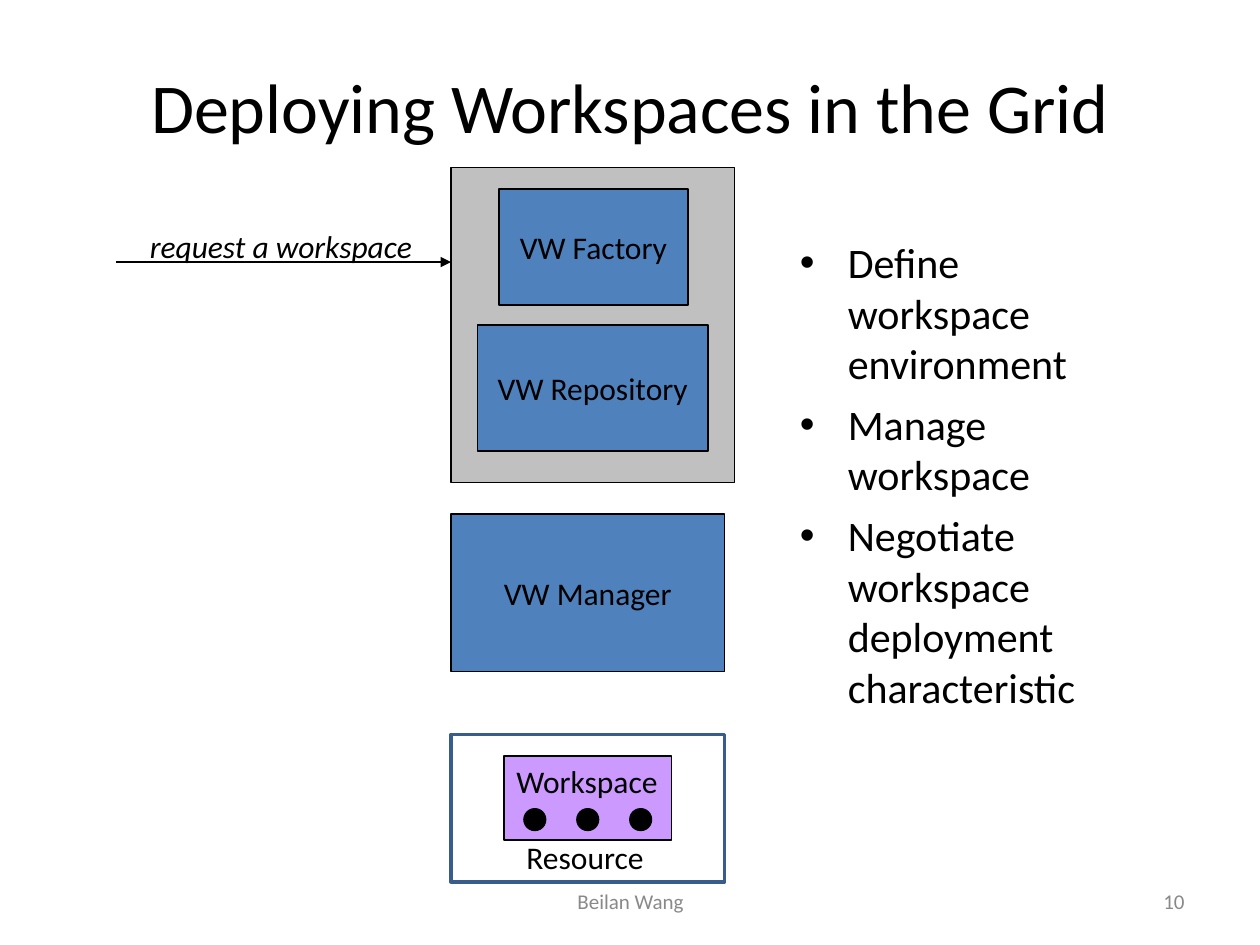
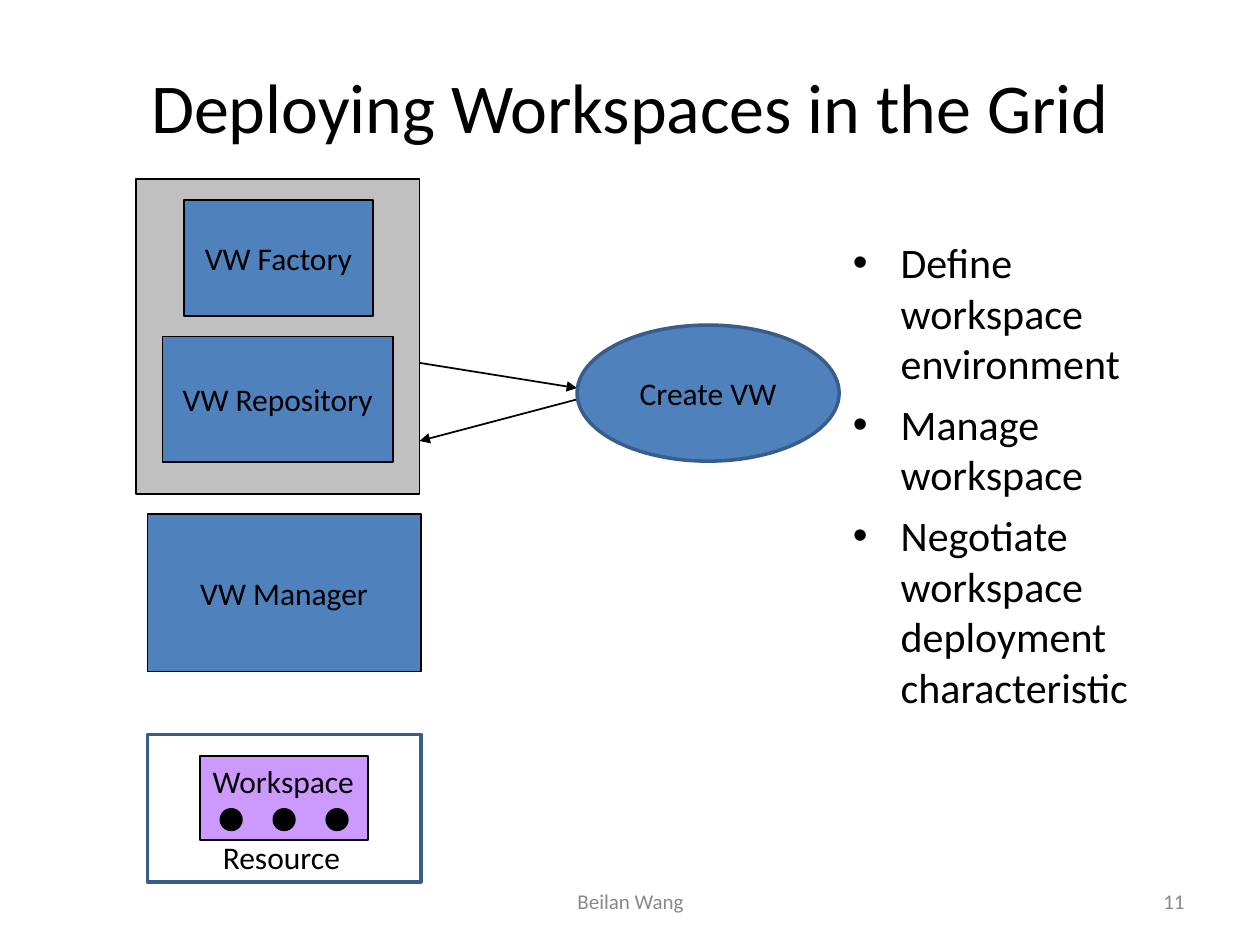
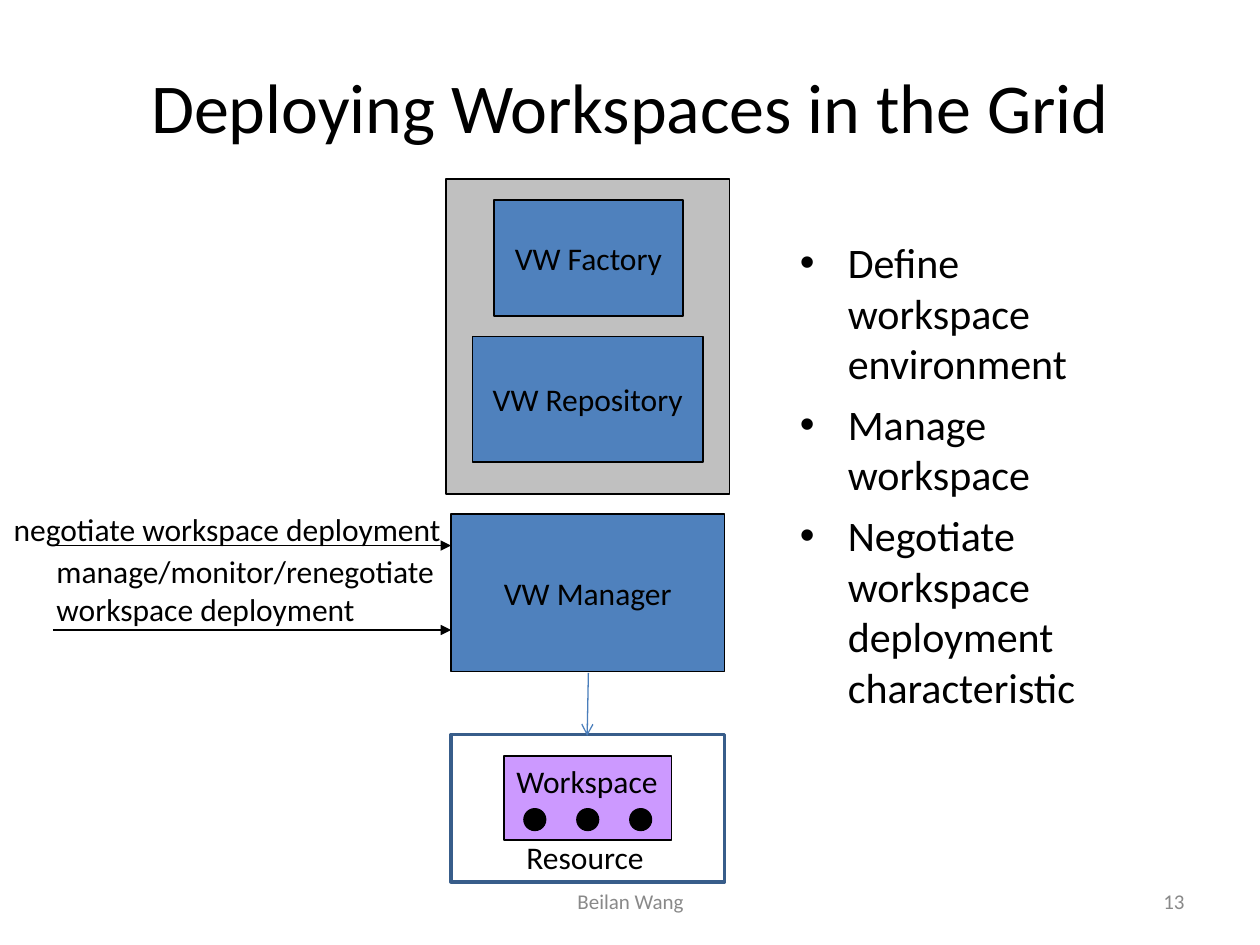
import pptx
import pptx.util
import pptx.dml.color
import pptx.enum.shapes
import pptx.enum.text
import pptx.oxml.ns
from lxml import etree

Inches = pptx.util.Inches
Pt = pptx.util.Pt
RGBColor = pptx.dml.color.RGBColor
SHAPE = pptx.enum.shapes.MSO_SHAPE
ALIGN = pptx.enum.text.PP_ALIGN
ANCHOR = pptx.enum.text.MSO_ANCHOR
qn = pptx.oxml.ns.qn

BLACK = RGBColor(0x00, 0x00, 0x00)
GREY = RGBColor(0x89, 0x89, 0x89)
SERVICE_GREY = RGBColor(0xC0, 0xC0, 0xC0)
BLUE = RGBColor(0x4F, 0x81, 0xBD)
OUTLINE_BLUE = RGBColor(0x38, 0x5D, 0x8A)
ARROW_BLUE = RGBColor(0x4A, 0x7E, 0xBB)
PURPLE = RGBColor(0xCC, 0x99, 0xFF)

FONT = "Calibri"
TITLE = "Deploying Workspaces in the Grid"
AUTHOR = "Beilan Wang"
STEPS = [
    "Define workspace environment",
    "Manage workspace",
    "Negotiate workspace deployment characteristic",
]


class Deck:
    """Holds the shared style and the slide being drawn."""

    def __init__(self):
        self.presentation = pptx.Presentation()
        self.presentation.slide_width = Inches(10)
        self.presentation.slide_height = Inches(7.5)
        self.slide = None

    def new_slide(self, number, steps_left):
        blank = self.presentation.slide_layouts[6]
        self.slide = self.presentation.slides.add_slide(blank)
        self.text(TITLE, 0.75, 0.42, 8.5, 0.83, size=40, align=ALIGN.CENTER,
                  anchor=ANCHOR.MIDDLE, wrap=True)
        self.bullets(STEPS, steps_left, 1.83, 9.17 - steps_left, 4.75)
        for words, left, width, align in ((AUTHOR, 3.42, 3.17, ALIGN.CENTER),
                                          (str(number), 7.17, 2.33, ALIGN.RIGHT)):
            self.text(words, left, 6.95, width, 0.4, size=12, color=GREY,
                      align=align, anchor=ANCHOR.MIDDLE, wrap=True)

    def fill_text(self, frame, words, size=18, color=BLACK, align=ALIGN.LEFT,
                  anchor=ANCHOR.TOP, wrap=False, italic=False):
        frame.text = words
        frame.word_wrap = wrap
        frame.vertical_anchor = anchor
        for paragraph in frame.paragraphs:
            paragraph.alignment = align
            for run in paragraph.runs:
                run.font.name = FONT
                run.font.size = Pt(size)
                run.font.color.rgb = color
                run.font.italic = italic

    def text(self, words, left, top, width, height=0.4, **style):
        area = self.slide.shapes.add_textbox(
            Inches(left), Inches(top), Inches(width), Inches(height))
        self.fill_text(area.text_frame, words, **style)
        return area.text_frame

    def bullets(self, items, left, top, width, height):
        frame = self.text("\n".join(items), left, top, width, height,
                          size=24, wrap=True)
        for index, paragraph in enumerate(frame.paragraphs):
            if index:
                paragraph.space_before = Pt(6)
            properties = paragraph._p.get_or_add_pPr()
            properties.set("marL", str(Inches(0.38)))
            properties.set("indent", str(Inches(-0.38)))
            etree.SubElement(properties, qn("a:buFont"), typeface="Arial")
            etree.SubElement(properties, qn("a:buChar"), char="•")

    def box(self, left, top, width, height, words="", fill=BLUE, line=BLACK,
            weight=1, kind=SHAPE.RECTANGLE):
        box = self.slide.shapes.add_shape(
            kind, Inches(left), Inches(top), Inches(width), Inches(height))
        box.shadow.inherit = False
        if fill is None:
            box.fill.background()
        else:
            box.fill.solid()
            box.fill.fore_color.rgb = fill
        box.line.color.rgb = line
        box.line.width = Pt(weight)
        if words:
            self.fill_text(box.text_frame, words, align=ALIGN.CENTER,
                           anchor=ANCHOR.MIDDLE)

    def arrow(self, start, end, color=BLACK, weight=1, head="triangle"):
        arrow = self.slide.shapes.add_connector(
            pptx.enum.shapes.MSO_CONNECTOR.STRAIGHT,
            *(Inches(length) for length in (*start, *end)))
        arrow.line.color.rgb = color
        arrow.line.width = Pt(weight)
        outline = arrow._element.spPr.find(qn("a:ln"))
        etree.SubElement(outline, qn("a:tailEnd"), type=head)
        etree.SubElement(arrow._element.spPr, qn("a:effectLst"))

    # Diagram parts found on every slide
    def services(self, left, top):
        self.box(left, top, 2.25, 2.5, fill=SERVICE_GREY)
        self.box(left + 0.38, top + 0.17, 1.5, 0.92, "VW Factory")
        self.box(left + 0.21, top + 1.25, 1.83, 1, "VW Repository")

    def manager_and_resource(self, left):
        self.box(left, 4.08, 2.17, 1.25, "VW Manager")
        self.box(left, 5.83, 2.17, 1.17, fill=None, line=OUTLINE_BLUE, weight=2)
        self.box(left + 0.42, 6, 1.33, 0.67, fill=PURPLE)
        self.text("Workspace", left + 0.42, 6, 1.33)
        for index in range(3):
            self.box(left + 0.58 + index * 0.42, 6.42, 0.17, 0.17, fill=BLACK,
                     kind=SHAPE.OVAL)
        self.text("Resource", left + 0.5, 6.6, 1.42, wrap=True)


def main():
    deck = Deck()

    # Requesting a workspace
    deck.new_slide(10, steps_left=6.25)
    deck.arrow((0.92, 2.08), (3.58, 2.08))
    deck.text("request a workspace", 1.09, 1.75, 2.29, italic=True)
    deck.manager_and_resource(3.58)
    deck.services(3.58, 1.33)

    # Creating the workspace
    deck.new_slide(11, steps_left=6.67)
    deck.arrow((3.33, 2.88), (4.58, 3.08))
    deck.arrow((4.58, 3.17), (3.33, 3.5))
    deck.box(4.58, 2.58, 2.08, 1.08, "Create VW", line=OUTLINE_BLUE, weight=2,
             kind=SHAPE.OVAL)
    deck.manager_and_resource(1.17)
    deck.services(1.08, 1.42)

    # Negotiating and managing the deployment
    deck.new_slide(13, steps_left=6.25)
    deck.text("negotiate workspace deployment", 0.01, 4, 3.6)
    deck.text("manage/monitor/renegotiate\nworkspace deployment",
              0.35, 4.33, 3.27, 0.7)
    for request_top in (4.33, 5):
        deck.arrow((0.42, request_top), (3.58, request_top))
    deck.manager_and_resource(3.58)
    deck.arrow((4.67, 5.34), (4.66, 5.84), ARROW_BLUE, 0.75, "arrow")
    deck.services(3.54, 1.42)

    deck.presentation.save("out.pptx")


if __name__ == "__main__":
    main()
